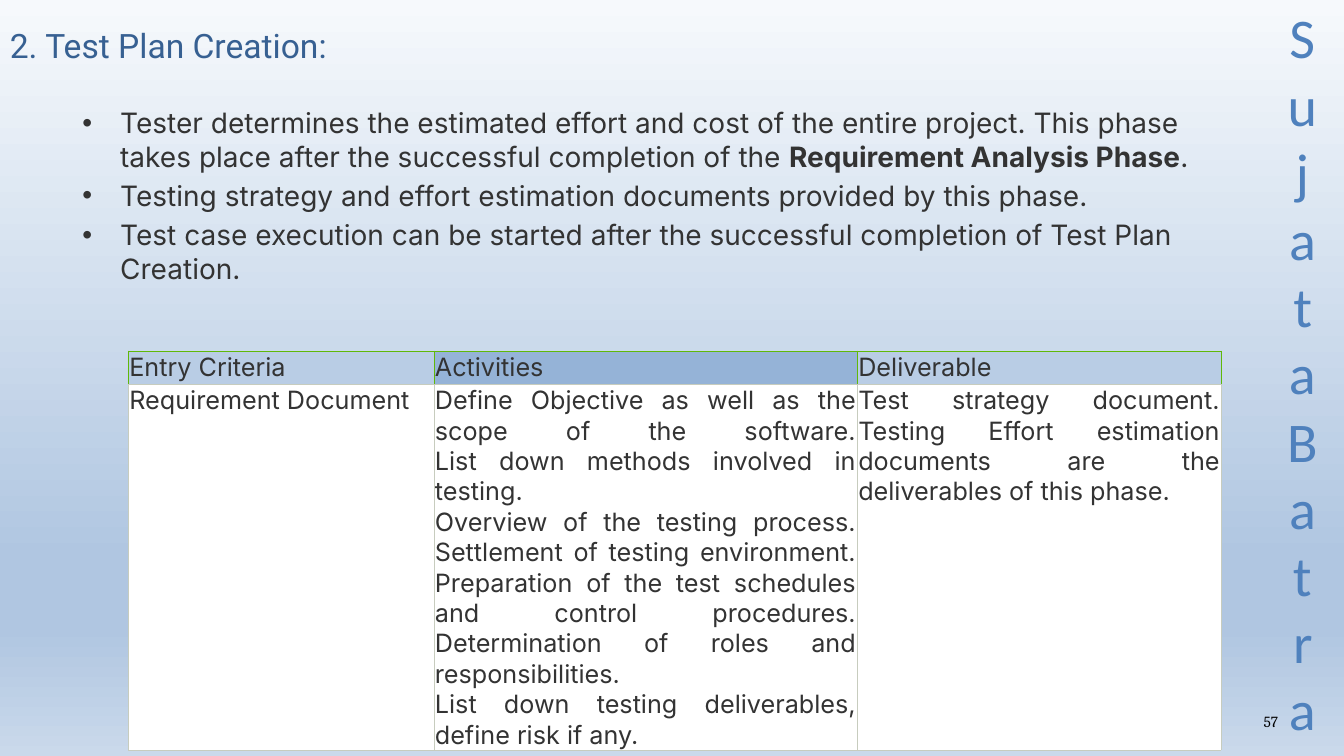
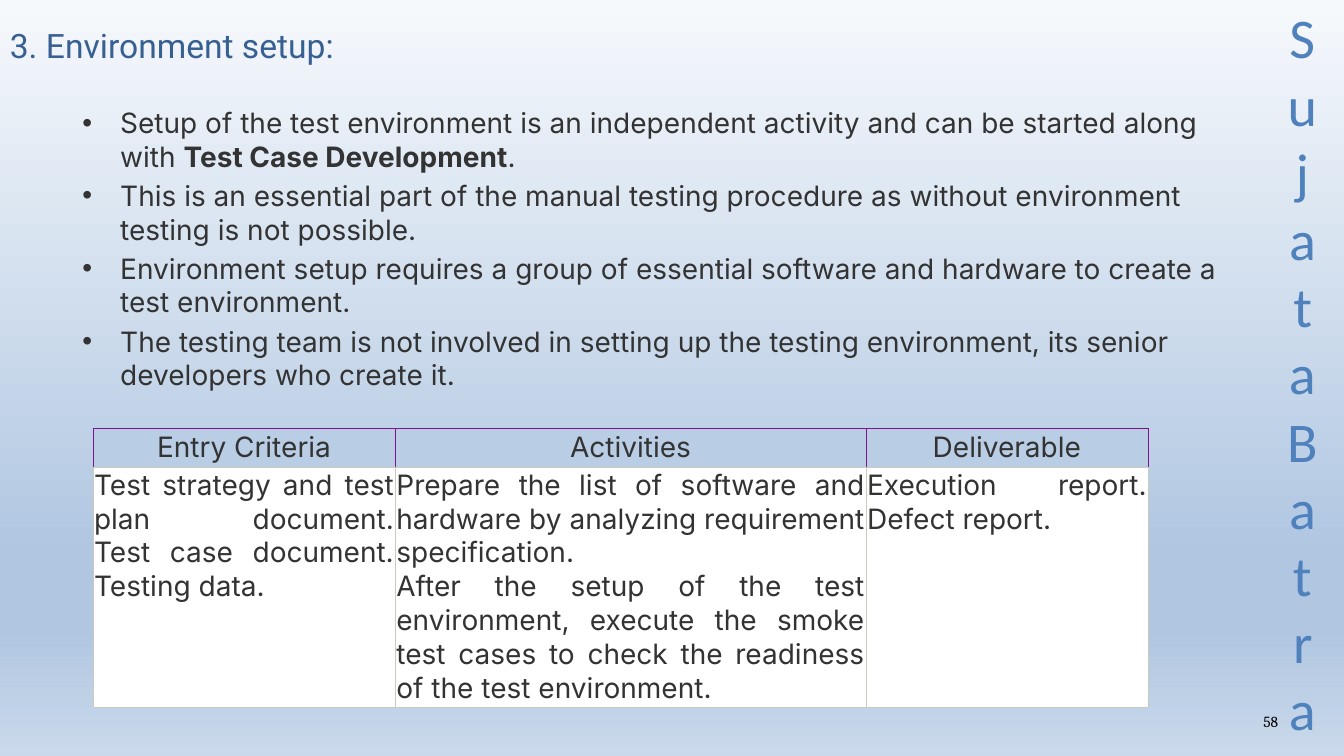
from lxml.etree import SubElement
from pptx import Presentation
from pptx.dml.color import RGBColor
from pptx.enum.text import MSO_ANCHOR as Anchor, PP_ALIGN as Align
from pptx.oxml.ns import qn
from pptx.util import Cm, Pt

COLORS = {
    "title": "376092",
    "text": "333333",
    "number": "000000",
    "name": "4F81BD",
    "header": "B9CDE5",
    "header_dark": "95B3D7",
    "cell": "FFFFFF",
    "grid": "C7CCBE",
    "green": "60B809",
    "purple": "80138A",
}
BACKGROUND_STOPS = [(0, "F6F9FC"), (74, "B0C6E1"), (83, "B0C6E1"), (100, "CAD9EB")]
SIDE_NAME = "Sujata Batra"


class Deck:
    """Holds the shared style and the slide being filled."""

    def __init__(self):
        self.presentation = Presentation()
        self.presentation.slide_width = Cm(33.87)
        self.presentation.slide_height = Cm(19.05)
        self.slide = None
        self.set_background()

    def set_background(self):
        master = self.presentation.slide_master
        fill = master.background.fill
        fill.gradient()
        fill.gradient_angle = 270
        stops = master.element.find(".//" + qn("a:gsLst"))
        stops.clear()
        for percent, color in BACKGROUND_STOPS:
            stop = SubElement(stops, qn("a:gs"), pos=str(percent * 1000))
            SubElement(stop, qn("a:srgbClr"), val=color)

    def new_slide(self, number, title):
        blank = self.presentation.slide_layouts[6]
        self.slide = self.presentation.slides.add_slide(blank)
        self.text(str(number), (24.56, 17.83, 7.9, 1.02),
                  "Cambria", 11, "number", Align.RIGHT)
        # The narrow box stacks the letters of the name
        self.text(SIDE_NAME, (32.11, -0.05, 1.42, 19.08),
                  "Calibri", 40, "name", Align.CENTER)
        self.text(title, (0, 0.28, 22.91, 1.7), "Roboto", 24, "title",
                  anchor=Anchor.MIDDLE)

    def style(self, paragraph, font, size, color, align=Align.LEFT):
        paragraph.alignment = align
        paragraph.font.name = font
        paragraph.font.size = Pt(size)
        paragraph.font.color.rgb = RGBColor.from_string(COLORS[color])

    def text_frame(self, box, anchor=Anchor.TOP):
        shape = self.slide.shapes.add_textbox(*map(Cm, box))
        frame = shape.text_frame
        frame.word_wrap = True
        frame.vertical_anchor = anchor
        return frame

    def text(self, text, box, font, size, color, align=Align.LEFT, anchor=Anchor.TOP):
        paragraph = self.text_frame(box, anchor).paragraphs[0]
        paragraph.text = text
        self.style(paragraph, font, size, color, align)

    def bullets(self, items):
        """Add the bullet list; words between asterisks are bold."""
        frame = self.text_frame((1.83, 2.54, 29.24, 15.04))
        for index, item in enumerate(items):
            paragraph = frame.add_paragraph() if index else frame.paragraphs[0]
            for part, words in enumerate(item.split("*")):
                run = paragraph.add_run()
                run.text = words
                if part % 2:
                    run.font.bold = True
            paragraph.space_before = Pt(4)
            properties = paragraph._p.get_or_add_pPr()
            properties.set("marL", str(Cm(0.95)))
            properties.set("indent", str(-Cm(0.95)))
            SubElement(properties, qn("a:buFont"), typeface="Arial")
            SubElement(properties, qn("a:buChar"), char="•")
            self.style(paragraph, "Inter", 20, "text")

    def borders(self, cell, edge, bottom):
        properties = cell._tc.get_or_add_tcPr()
        for side in "LRTB":
            line = SubElement(properties, qn(f"a:ln{side}"), w=str(Pt(0.25)))
            fill = SubElement(line, qn("a:solidFill"))
            color = bottom if side == "B" else edge
            SubElement(fill, qn("a:srgbClr"), val=COLORS[color])

    def cell(self, cell, text, size, align, fill, edge, margin):
        self.borders(cell, edge, "grid")
        cell.fill.solid()
        cell.fill.fore_color.rgb = RGBColor.from_string(COLORS[fill])
        cell.margin_left = cell.margin_right = Cm(margin)
        cell.margin_top = cell.margin_bottom = Cm(margin)
        paragraph = cell.text_frame.paragraphs[0]
        paragraph.text = text
        self.style(paragraph, "Inter", size, "text", align)
        paragraph.font.bold = False

    def table(self, left, top, widths, heights, entries, size, edge, header_fills,
              header_align=Align.LEFT, header_margin=0.03):
        headers = ["Entry Criteria", "Activities", "Deliverable"]
        frame = self.slide.shapes.add_table(
            2, len(headers), Cm(left), Cm(top), Cm(sum(widths)), Cm(sum(heights)))
        table = frame.table
        table.first_row = table.horz_banding = False
        for row, height in zip(table.rows, heights):
            row.height = Cm(height)
        for index, width in enumerate(widths):
            table.columns[index].width = Cm(width)
            self.cell(table.cell(0, index), headers[index], size, header_align,
                      header_fills[index], edge, header_margin)
            self.cell(table.cell(1, index), "\n".join(entries[index]), size,
                      Align.JUSTIFY, "cell", "grid", 0.03)


def main():
    deck = Deck()

    # Test plan creation
    deck.new_slide(57, "2. Test Plan Creation:")
    deck.bullets([
        "Tester determines the estimated effort and cost of the entire project. "
        "This phase takes place after the successful completion of the "
        "*Requirement Analysis Phase*.",
        "Testing strategy and effort estimation documents provided by this phase.",
        "Test case execution can be started after the successful completion of "
        "Test Plan Creation.",
    ])
    deck.table(
        3.23, 8.84, [7.7, 10.67, 9.17], [0.84, 9.22],
        [
            ["Requirement Document"],
            ["Define Objective as well as the scope of the software.",
             "List down methods involved in testing.",
             "Overview of the testing process.",
             "Settlement of testing environment.",
             "Preparation of the test schedules and control procedures.",
             "Determination of roles and responsibilities.",
             "List down testing deliverables, define risk if any."],
            ["Test strategy document.",
             "Testing Effort estimation documents are the deliverables of this phase."],
        ],
        18, "green", ["header", "header_dark", "header"])

    # Environment setup
    deck.new_slide(58, "3. Environment setup:")
    deck.bullets([
        "Setup of the test environment is an independent activity and can be "
        "started along with *Test Case Development*.",
        "This is an essential part of the manual testing procedure as without "
        "environment testing is not possible.",
        "Environment setup requires a group of essential software and hardware "
        "to create a test environment.",
        "The testing team is not involved in setting up the testing environment, "
        "its senior developers who create it.",
    ])
    deck.table(
        2.34, 10.8, [7.62, 11.86, 7.11], [0.96, 6.05],
        [
            ["Test strategy and test plan document.",
             "Test case document.",
             "Testing data."],
            ["Prepare the list of software and hardware by analyzing requirement "
             "specification.",
             "After the setup of the test environment, execute the smoke test cases "
             "to check the readiness of the test environment."],
            ["Execution report.", "Defect report."],
        ],
        20, "purple", ["header"] * 3, Align.CENTER, 0.05)

    deck.presentation.save("out.pptx")


if __name__ == "__main__":
    main()
